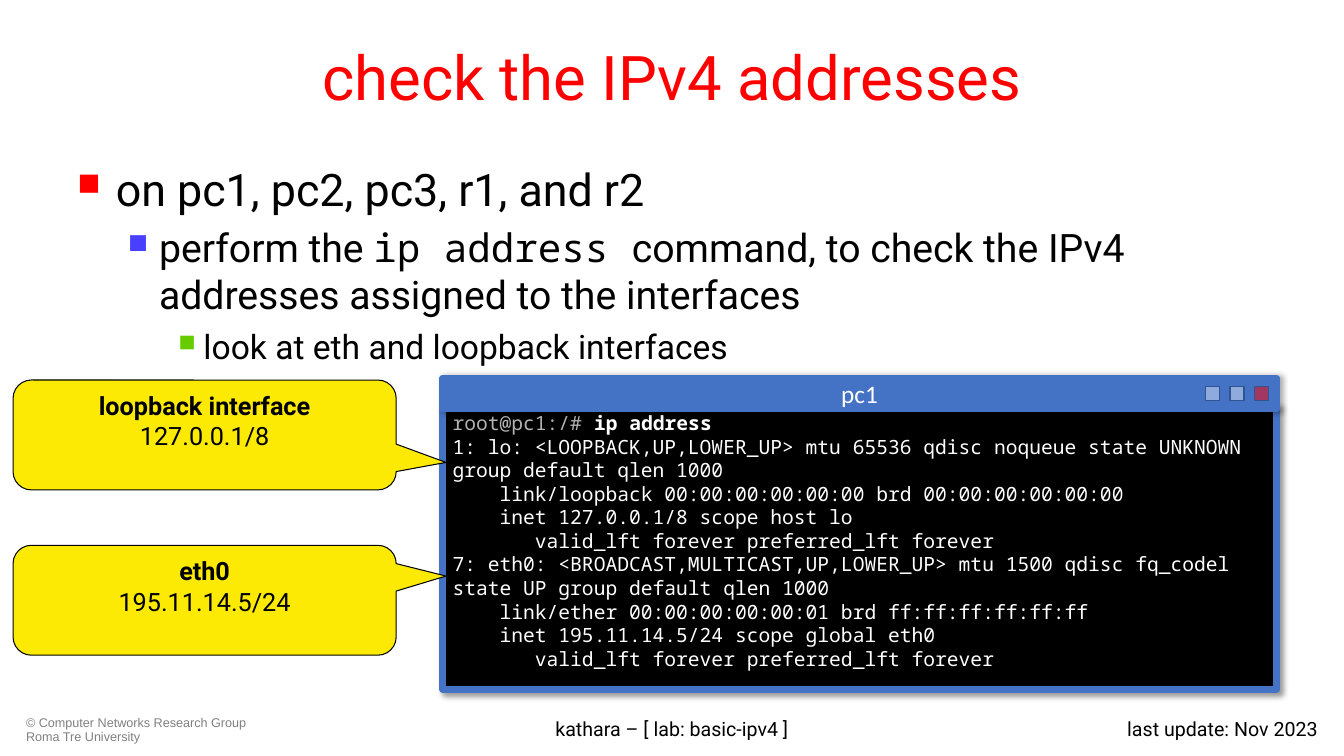
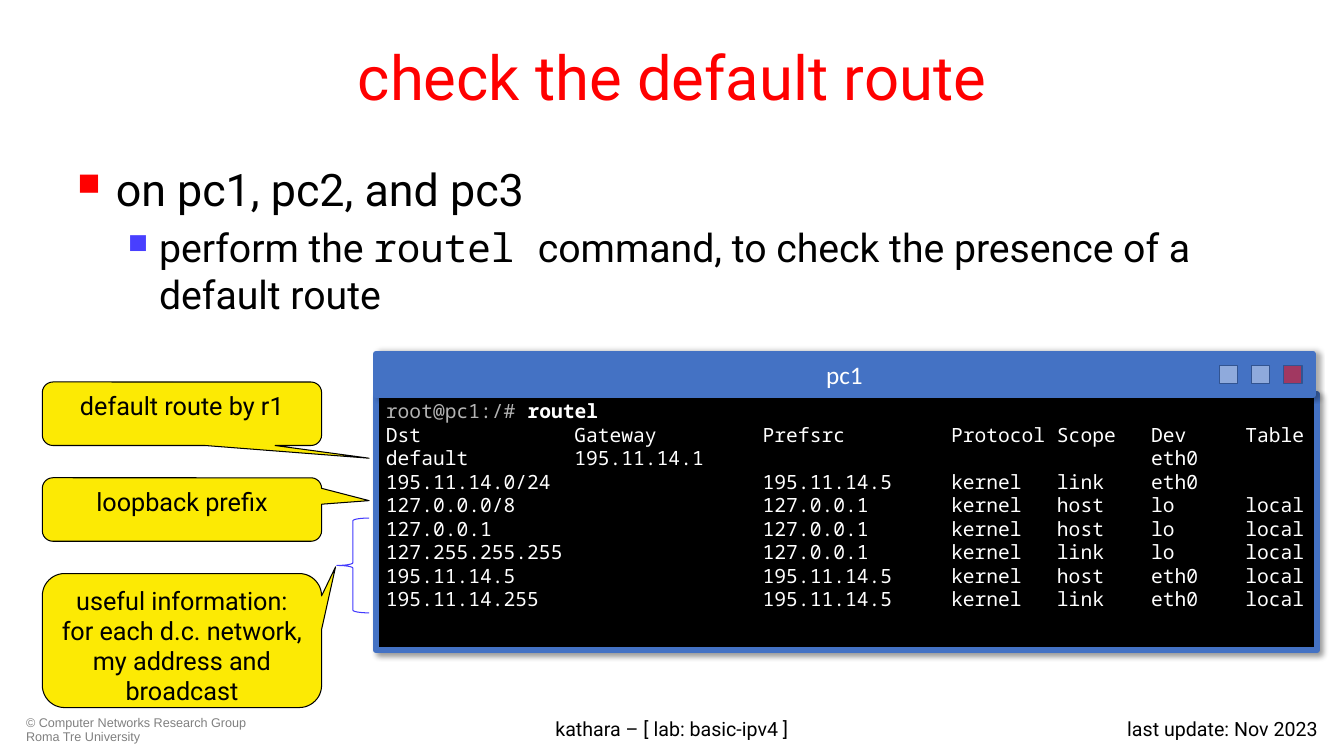
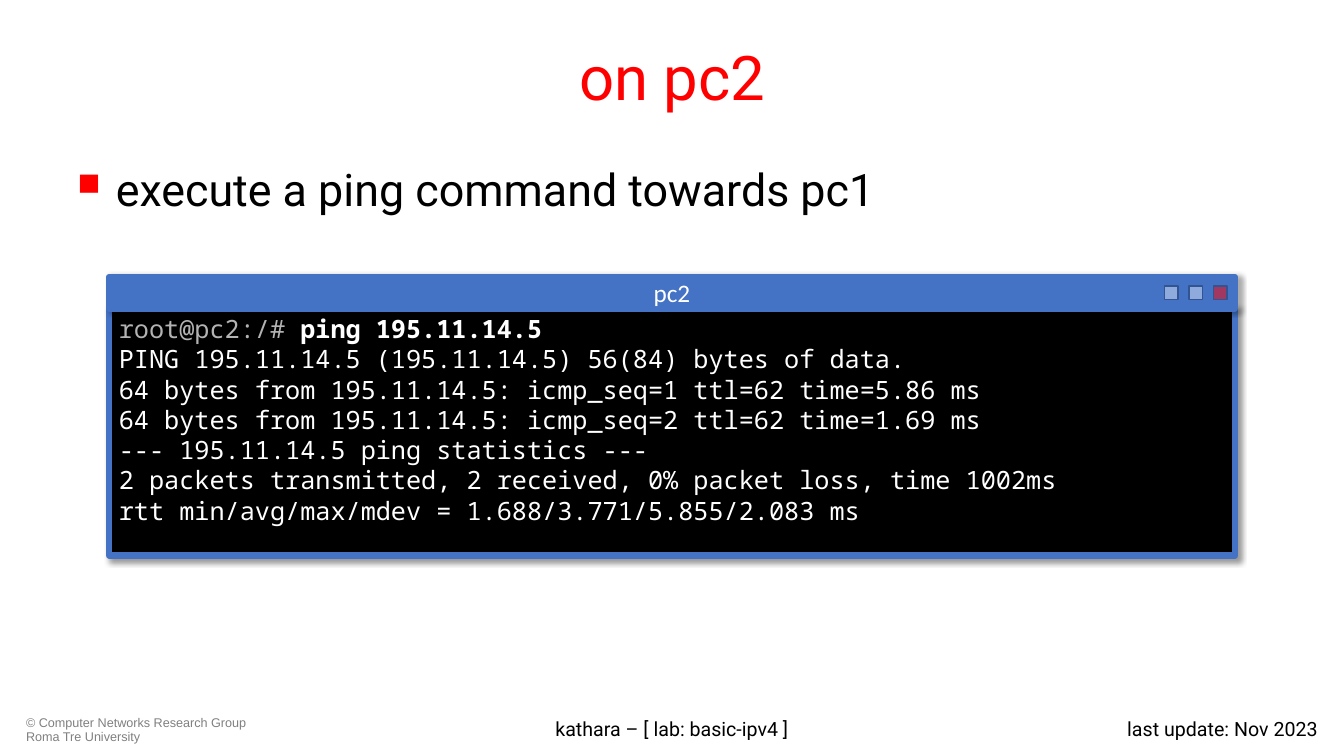
"""Build three slides of a network lab: terminal windows with yellow callouts."""
from lxml.etree import SubElement
from pptx import Presentation
from pptx.dml.color import RGBColor
from pptx.enum.shapes import MSO_SHAPE
from pptx.enum.text import MSO_ANCHOR, PP_ALIGN
from pptx.oxml.ns import qn
from pptx.util import Inches, Pt

RED = RGBColor(0xFF, 0x00, 0x00)
BLACK = RGBColor(0x00, 0x00, 0x00)
WHITE = RGBColor(0xFF, 0xFF, 0xFF)
GREY = RGBColor(0x80, 0x80, 0x80)
PROMPT_GREY = RGBColor(0xB3, 0xB3, 0xB3)
INDIGO = RGBColor(0x48, 0x3F, 0xFF)
GREEN = RGBColor(0x66, 0xCC, 0x00)
FRAME_BLUE = RGBColor(0x44, 0x72, 0xC4)
BUTTON_BLUE = RGBColor(0x8F, 0xAA, 0xDC)
BUTTON_EDGE = RGBColor(0x32, 0x54, 0x91)
YELLOW = RGBColor(0xFC, 0xEA, 0x04)
BRACE_BLUE = RGBColor(0x42, 0x39, 0xFE)

SANS, MONO = "Roboto", "Noto Sans Mono"
TITLE = {"name": SANS, "size": Pt(44), "color": RED}
COPYRIGHT = {"name": "Arial", "size": Pt(9), "color": GREY}
FOOTER = {"name": SANS, "size": Pt(14), "color": BLACK}
CALLOUT = {"name": SANS, "size": Pt(18), "color": BLACK}
BAR = {"name": "Calibri", "size": Pt(18), "color": WHITE}
CENTER = {"alignment": PP_ALIGN.CENTER}

TITLE_BOX = (0.67, 0.13, 12, 1.25)
BODY_BOX = (0.67, 1.55, 12, 5.15)
FOOTERS = [
    ((0.16, 7.06, 2.49, 0.36), "© Computer Networks Research Group Roma Tre University",
     COPYRIGHT, {"line_spacing": 0.9}),
    ((10.13, 7.06, 3.04, 0.36), "last update: Nov 2023", FOOTER, {"alignment": PP_ALIGN.RIGHT}),
    ((3.41, 7.06, 6.51, 0.36), "kathara – [ lab: basic-ipv4 ]", FOOTER, CENTER),
]
LEVELS = [
    {"size": 32, "color": RED, "margin": 0.38, "hang": 0.38, "before": 0},
    {"size": 28, "color": INDIGO, "margin": 0.81, "hang": 0.31, "before": 6},
    {"size": 24, "color": GREEN, "margin": 1.25, "hang": 0.25, "before": 6},
]

SLIDES = [
    {
        "title": "check the IPv4 addresses",
        "bullets": [
            [("on pc1, pc2, pc3, r1, and r2", SANS)],
            [("perform the ", SANS), ("ip address ", MONO),
             ("command, to check the IPv4 addresses assigned to the interfaces", SANS)],
            [("look at eth and loopback interfaces", SANS)],
        ],
        "window": {
            "host": "pc1", "command": "ip address", "size": 14,
            "screen": (4.39, 4.03, 8.27, 2.81), "bar": (4.39, 3.75, 8.27, 0.31),
            "output": [
                "1: lo: <LOOPBACK,UP,LOWER_UP> mtu 65536 qdisc noqueue state UNKNOWN group default qlen 1000",
                "    link/loopback 00:00:00:00:00:00 brd 00:00:00:00:00:00",
                "    inet 127.0.0.1/8 scope host lo",
                "       valid_lft forever preferred_lft forever",
                "7: eth0: <BROADCAST,MULTICAST,UP,LOWER_UP> mtu 1500 qdisc fq_codel state UP group default qlen 1000",
                "    link/ether 00:00:00:00:00:01 brd ff:ff:ff:ff:ff:ff",
                "    inet 195.11.14.5/24 scope global eth0",
                "       valid_lft forever preferred_lft forever",
            ],
        },
        "callouts": [
            ((0.13, 3.77, 3.8, 1.09), (0.63, 0.25), "loopback interface", "127.0.0.1/8"),
            ((0.13, 5.41, 3.8, 1.09), (0.63, -0.22), "eth0", "195.11.14.5/24"),
        ],
    },
    {
        "title": "check the default route",
        "bullets": [
            [("on pc1, pc2, and pc3", SANS)],
            [("perform the ", SANS), ("routel ", MONO),
             ("command, to check the presence of a default route", SANS)],
        ],
        "window": {
            "host": "pc1", "command": "routel", "size": 14,
            "screen": (3.73, 3.91, 9.33, 2.54), "bar": (3.73, 3.51, 9.29, 0.41),
            "output": [
                "Dst             Gateway         Prefsrc         Protocol Scope   Dev     Table",
                "default         195.11.14.1                                      eth0",
                "195.11.14.0/24                  195.11.14.5     kernel   link    eth0",
                "127.0.0.0/8                     127.0.0.1       kernel   host    lo      local",
                "127.0.0.1                       127.0.0.1       kernel   host    lo      local",
                "127.255.255.255                 127.0.0.1       kernel   link    lo      local",
                "195.11.14.5                     195.11.14.5     kernel   host    eth0    local",
                "195.11.14.255                   195.11.14.5     kernel   link    eth0    local",
            ],
        },
        "callouts": [
            ((0.42, 3.79, 2.77, 0.63), (0.67, 0.7), "", "default route by r1"),
            ((0.42, 4.74, 2.77, 0.63), (0.67, -0.14), "", "loopback prefix"),
            ((0.42, 5.69, 2.77, 1.33), (0.55, -0.55), "",
             "useful information: for each d.c. network, my address and broadcast"),
        ],
        "brace": (3.34, 5.14, 0.32, 0.94),
    },
    {
        "title": "on pc2",
        "bullets": [[("execute a ping command towards pc1", SANS)]],
        "window": {
            "host": "pc2", "command": "ping 195.11.14.5", "size": 18,
            "screen": (1.08, 3.06, 11.17, 2.45), "bar": (1.08, 2.75, 11.17, 0.31),
            "output": [
                "PING 195.11.14.5 (195.11.14.5) 56(84) bytes of data.",
                "64 bytes from 195.11.14.5: icmp_seq=1 ttl=62 time=5.86 ms",
                "64 bytes from 195.11.14.5: icmp_seq=2 ttl=62 time=1.69 ms",
                "--- 195.11.14.5 ping statistics ---",
                "2 packets transmitted, 2 received, 0% packet loss, time 1002ms",
                "rtt min/avg/max/mdev = 1.688/3.771/5.855/2.083 ms",
            ],
        },
        "callouts": [],
    },
]


def inches(at):
    return [Inches(length) for length in at]


def apply(target, formats):
    for name, value in formats.items():
        if name == "color":
            target.color.rgb = value
        else:
            setattr(target, name, value)


def write(shape, paragraphs, layout, anchor=MSO_ANCHOR.TOP):
    frame = shape.text_frame
    apply(frame, {"word_wrap": True, "vertical_anchor": anchor})
    for index, spans in enumerate(paragraphs):
        para = frame.add_paragraph() if index else frame.paragraphs[0]
        apply(para, layout)
        for text, formats in spans:
            span = para.add_run()
            span.text = text
            apply(span.font, formats)
    return frame


def add_text(page, at, paragraphs, layout, anchor=MSO_ANCHOR.TOP):
    return write(page.shapes.add_textbox(*inches(at)), paragraphs, layout, anchor)


def add_shape(shapes, kind, at, fill, edge, width):
    shape = shapes.add_shape(kind, *inches(at))
    shape.shadow.inherit = False
    if fill is None:
        shape.fill.background()
    else:
        shape.fill.solid()
        shape.fill.fore_color.rgb = fill
    apply(shape.line, {"color": edge, "width": Pt(width)})
    return shape


def add_alpha(color, percent):
    SubElement(color, qn("a:alpha")).set("val", str(percent * 1000))


def cast_shadow(shape, percent, blur, distance, angle):
    effects = shape.element.spPr.find(qn("a:effectLst"))
    shadow = SubElement(effects, qn("a:outerShdw"), blurRad=str(Pt(blur)), dist=str(Pt(distance)),
                        dir=str(angle * 60000), algn="tl", rotWithShape="0")
    add_alpha(SubElement(shadow, qn("a:srgbClr"), val=str(BLACK)), percent)


def add_bullets(page, bullets):
    paragraphs = [
        [(text, {"name": font, "size": Pt(level["size"]), "color": BLACK}) for text, font in spans]
        for spans, level in zip(bullets, LEVELS)
    ]
    frame = add_text(page, BODY_BOX, paragraphs, {})
    for depth, (para, level) in enumerate(zip(frame.paragraphs, LEVELS)):
        apply(para, {"level": depth, "space_before": Pt(level["before"])})
        settings = para._p.get_or_add_pPr()
        settings.set("marL", str(Inches(level["margin"])))
        settings.set("indent", str(-Inches(level["hang"])))
        color = SubElement(settings, qn("a:buClr"))
        SubElement(color, qn("a:srgbClr"), val=str(level["color"]))
        SubElement(settings, qn("a:buSzPct"), val="70000")
        SubElement(settings, qn("a:buChar"), char="■")


def add_window(page, window):
    shapes = page.shapes.add_group_shape().shapes
    base = {"name": MONO, "size": Pt(window["size"]), "color": WHITE}
    prompt = [(f"root@{window['host']}:/# ", base | {"color": PROMPT_GREY}),
              (window["command"], base | {"bold": True})]
    screen = add_shape(shapes, MSO_SHAPE.RECTANGLE, window["screen"], BLACK, FRAME_BLUE, 4.5)
    cast_shadow(screen, 40, 4, 3, 45)
    write(screen, [prompt] + [[(line, base)] for line in window["output"]],
          {"alignment": PP_ALIGN.LEFT})

    bar = add_shape(shapes, MSO_SHAPE.RECTANGLE, window["bar"], FRAME_BLUE, FRAME_BLUE, 4.5)
    cast_shadow(bar, 32, 4, 2, 0)
    write(bar, [[(window["host"], BAR)]], CENTER, MSO_ANCHOR.MIDDLE)

    left, top, width, height = window["bar"]
    side, pitch, margin = 0.44 * height, 0.78 * height, 0.26 * height
    for place, fill in enumerate((RED, BUTTON_BLUE, BUTTON_BLUE)):
        at = (left + width - margin - side - place * pitch, top + (height - side) / 2, side, side)
        button = add_shape(shapes, MSO_SHAPE.RECTANGLE, at, fill, BUTTON_EDGE, 1)
        if fill == RED:
            add_alpha(button.element.spPr.find(qn("a:solidFill"))[0], 50)


def add_callout(page, at, tip, heading, text):
    callout = add_shape(page.shapes, MSO_SHAPE.ROUNDED_RECTANGULAR_CALLOUT, at, YELLOW, BLACK, 0.75)
    for index, value in enumerate(tip):
        callout.adjustments[index] = value
    lines = [[(heading, CALLOUT | {"bold": True})]] if heading else []
    write(callout, lines + [[(text, CALLOUT)]], CENTER)


def main():
    deck = Presentation()
    apply(deck, {"slide_width": Inches(13.33), "slide_height": Inches(7.5)})
    for content in SLIDES:
        page = deck.slides.add_slide(deck.slide_layouts[6])
        add_text(page, TITLE_BOX, [[(content["title"], TITLE)]], CENTER, MSO_ANCHOR.MIDDLE)
        add_bullets(page, content["bullets"])
        for at, text, formats, layout in FOOTERS:
            add_text(page, at, [[(text, formats)]], layout)
        add_window(page, content["window"])
        for callout in content["callouts"]:
            add_callout(page, *callout)
        if "brace" in content:
            add_shape(page.shapes, MSO_SHAPE.LEFT_BRACE, content["brace"], None, BRACE_BLUE, 0.75)
    deck.save("out.pptx")


if __name__ == "__main__":
    main()
